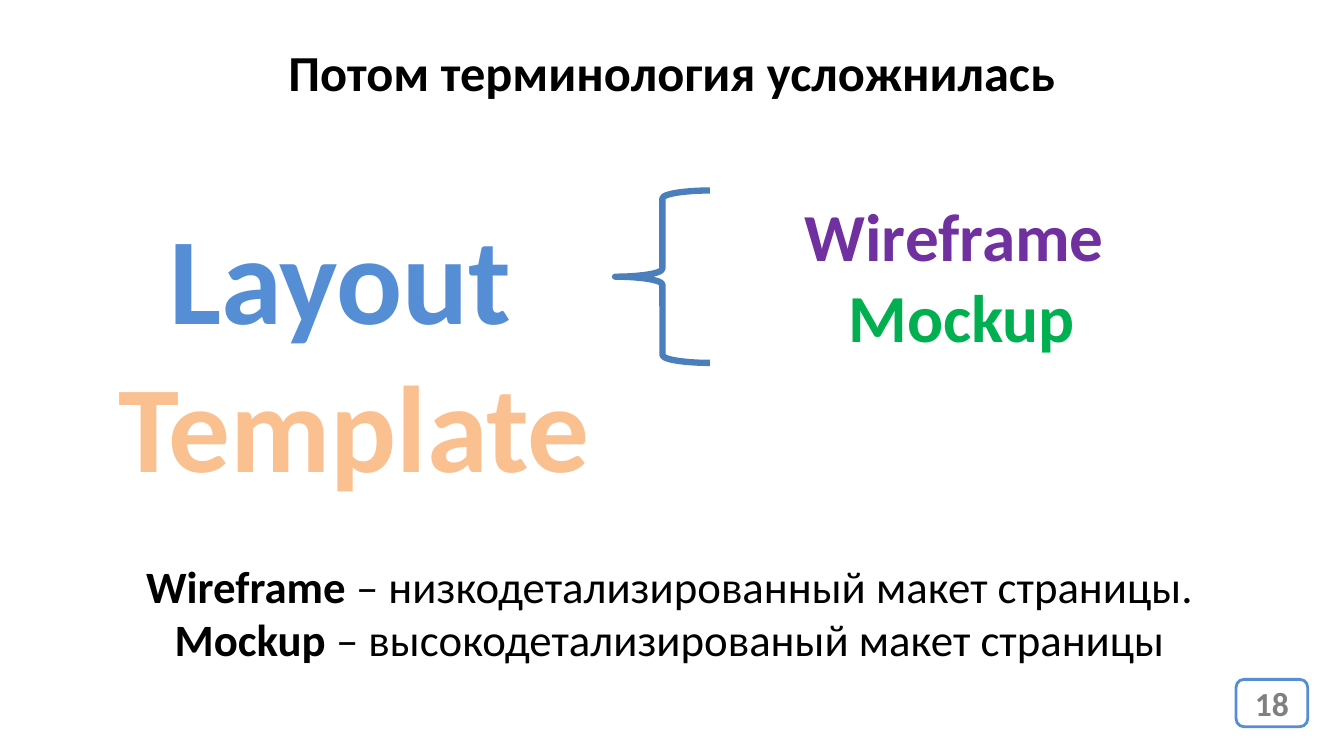
from pptx import Presentation
from pptx.dml.color import RGBColor
from pptx.enum.shapes import MSO_SHAPE
from pptx.enum.text import MSO_ANCHOR, MSO_AUTO_SIZE, PP_ALIGN
from pptx.util import Inches, Pt

CENTER = PP_ALIGN.CENTER
TOP, MIDDLE = MSO_ANCHOR.TOP, MSO_ANCHOR.MIDDLE
NO_AUTOFIT = MSO_AUTO_SIZE.NONE
ROUNDED, BRACE = MSO_SHAPE.ROUNDED_RECTANGLE, MSO_SHAPE.LEFT_BRACE

FONT = "Calibri"
BLACK, WHITE, GRAY = "000000", "FFFFFF", "808080"
BLUE, BRACE_BLUE, PEACH = "558ED5", "4B7EBC", "FAC090"
PURPLE, GREEN = "7030A0", "00B050"

presentation = Presentation()
presentation.slide_width = Inches(13.33)
presentation.slide_height = Inches(7.5)


def color(hex_string):
    return RGBColor.from_string(hex_string)


def region(left, top, width, height):
    across, down = presentation.slide_width / 100, presentation.slide_height / 100
    return int(left * across), int(top * down), int(width * across), int(height * down)


def write_lines(shape, lines, size, anchor=TOP):
    frame = shape.text_frame
    frame.word_wrap = True
    frame.auto_size = NO_AUTOFIT
    frame.vertical_anchor = anchor
    for index, (bold_text, plain_text, hex_string) in enumerate(lines):
        paragraph = frame.add_paragraph() if index else frame.paragraphs[0]
        paragraph.alignment = CENTER
        font = paragraph.font
        font.name, font.size = FONT, Pt(size)
        font.color.rgb = color(hex_string)
        for text, bold in ((bold_text, True), (plain_text, False)):
            if text:
                run = paragraph.add_run()
                run.text = text
                run.font.bold = bold


def style_line(shape, hex_string, width):
    shape.shadow.inherit = False
    shape.line.color.rgb = color(hex_string)
    shape.line.width = Pt(width)


def place_title(slide, box, text):
    title = slide.shapes.title
    title.left, title.top, title.width, title.height = box
    write_lines(title, [(text, "", BLACK)], 36)


def place_lines(slide, box, lines, size):
    write_lines(slide.shapes.add_textbox(*box), lines, size)


def place_brace(slide, box):
    brace = slide.shapes.add_shape(BRACE, *box)
    brace.fill.background()
    style_line(brace, BRACE_BLUE, 4.5)


def place_page_number(slide, box, number):
    badge = slide.shapes.add_shape(ROUNDED, *box)
    badge.fill.solid()
    badge.fill.fore_color.rgb = color(WHITE)
    style_line(badge, BLUE, 2)
    write_lines(badge, [(number, "", GRAY)], 24, MIDDLE)


def build_terminology_slide():
    slide = presentation.slides.add_slide(presentation.slide_layouts[5])
    place_page_number(slide, region(91.97, 89.87, 5.33, 6.27), "18")
    place_lines(slide, region(2.25, 26, 48.24, 40.8),
                [("Layout ", "", BLUE), ("Template", "", PEACH)], 88)
    place_title(slide, region(0, 4.8, 100, 9.47), "Потом терминология усложнилась")
    place_lines(slide, region(-0.15, 73.2, 100, 15.73),
                [("Wireframe", " – низкодетализированный макет страницы.", BLACK),
                 ("Mockup", " – высокодетализированый макет страницы", BLACK)], 32)
    place_lines(slide, region(48.84, 25.07, 45.46, 22.93),
                [("Wireframe ", "", PURPLE), ("Mockup", "", GREEN)], 48)
    place_brace(slide, region(45.76, 25.2, 7.05, 22.8))


build_terminology_slide()
presentation.save("out.pptx")
